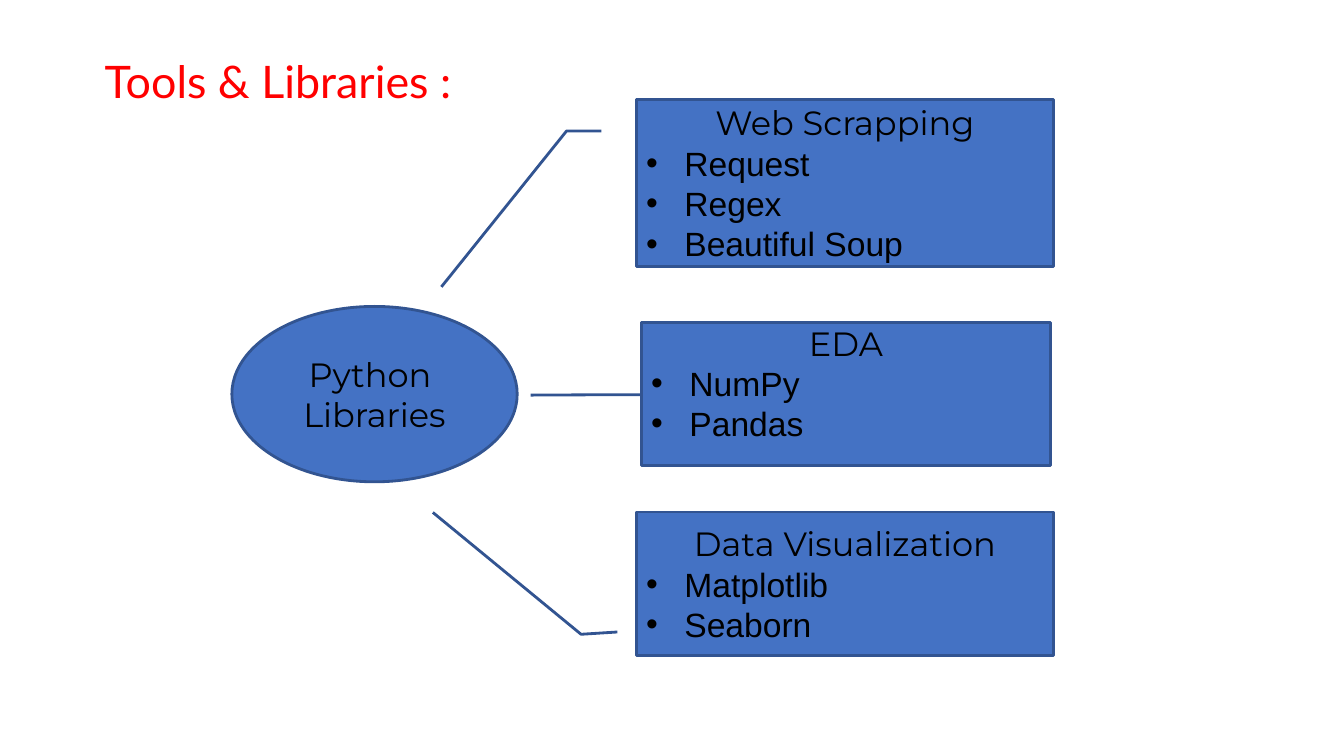
from pptx import Presentation
from pptx.util import Inches, Pt
from pptx.dml.color import RGBColor
from pptx.enum.shapes import MSO_SHAPE as Kind
from pptx.enum.text import PP_ALIGN as Align, MSO_ANCHOR as Anchor
from lxml.etree import SubElement
from pptx.oxml.ns import qn

RED = RGBColor(0xFF, 0, 0)
BLUE = RGBColor(0x44, 0x72, 0xC4)
NAVY = RGBColor(0x32, 0x54, 0x91)
BLACK = RGBColor(0, 0, 0)

TITLE = "Tools & Libraries :"
HUB = ["Python ", "Libraries"]
GROUPS = [
    ("Web Scrapping", ["Request", "Regex", "Beautiful Soup"],
     (6.31, 0.99, 4.14, 1.65), (0.1875, -0.0833, 0.1875, -0.1667, 1.125, -0.4667), 0.05),
    ("EDA", ["NumPy", "Pandas"],
     (6.36, 3.2, 4.06, 1.42), (0.505, 0, 0.505, -0.129, 0.507, -0.27), 0.27),
    ("Data Visualization", ["Matplotlib", "Seaborn"],
     (6.31, 5.08, 4.14, 1.42), (0.838, -0.045, 0.854, -0.132, 0.003, -0.487), 0.05),
]


def style(para, size, face, color, align):
    para.font.size = Pt(size)
    para.font.name = face
    para.font.color.rgb = color
    para.alignment = align


def bullet(para):
    props = para._p.get_or_add_pPr()
    props.set("marL", str(Inches(0.38)))
    props.set("indent", str(-Inches(0.38)))
    mark = SubElement(props, qn("a:buFont"))
    mark.set("typeface", "Arial")
    SubElement(props, qn("a:buChar")).set("char", "•")
    props.append(props.find(qn("a:defRPr")))


def add_box(slide, kind, place, heads, items=()):
    box = slide.shapes.add_shape(kind, *map(Inches, place))
    box.shadow.inherit = False
    box.fill.solid()
    box.fill.fore_color.rgb = BLUE
    box.line.color.rgb = NAVY
    box.line.width = Pt(2)
    frame = box.text_frame
    frame.word_wrap = True
    frame.vertical_anchor = Anchor.MIDDLE
    frame.text = "\n".join([*heads, *items])
    for i, para in enumerate(frame.paragraphs):
        if i < len(heads):
            style(para, 24, "Montserrat", BLACK, Align.CENTER)
        else:
            style(para, 24, "Arial", BLACK, Align.LEFT)
            bullet(para)
    return box


def main():
    deck = Presentation()
    deck.slide_width, deck.slide_height = Inches(13.33), Inches(7.5)
    slide = deck.slides.add_slide(deck.slide_layouts[6])

    title = slide.shapes.add_textbox(*map(Inches, (0.94, 0.48, 5.27, 0.64))).text_frame
    title.word_wrap = True
    title.text = TITLE
    style(title.paragraphs[0], 32, "Lato", RED, Align.LEFT)

    add_box(slide, Kind.OVAL, (2.3, 3.04, 2.83, 1.74), HUB)
    for head, items, place, leader, base in GROUPS:
        box = add_box(slide, Kind.LINE_CALLOUT_2, place, [head], items)
        box.text_frame.margin_bottom = Inches(base)
        for i, value in enumerate(leader):
            box.adjustments[i] = value

    deck.save("out.pptx")


if __name__ == "__main__":
    main()
